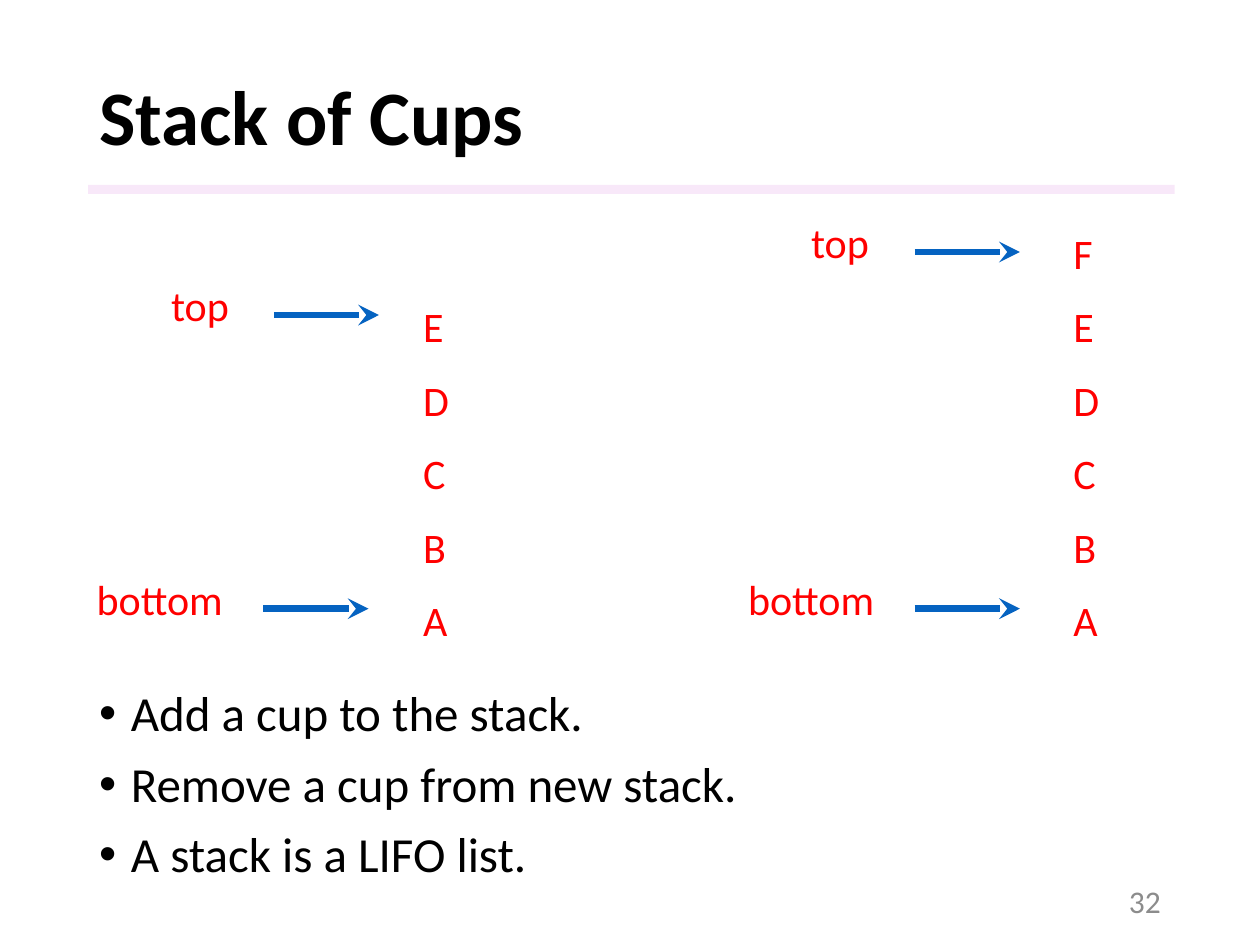
from lxml import etree
from pptx import Presentation, util as u
from pptx.dml.color import RGBColor
from pptx.enum import shapes, text
from pptx.oxml.ns import qn

COLORS = {"ink": "000000", "label": "FF0000", "arrow": "0563C1",
          "rule": "F3D2F4", "number": "8C8C8C"}
FONT = "Calibri"
CUP_STEP = 1.48
BOTTOM_CUP_TOP = 11.86
BOTTOM_LABEL_TOP = 11.43
BULLETS = ["Add a cup to the stack.", "Remove a cup from new stack.",
           "A stack is a LIFO list."]
# Left edges in cm of the cups and of each label with its arrow
STACKS = [
    {"cups": "ABCDE", "cup_left": 8.28, "pointers": [
        ("bottom", 1.7, BOTTOM_LABEL_TOP, 3.81, 5.31),
        ("top", 3.2, 5.51, 2.54, 5.52)]},
    {"cups": "ABCDEF", "cup_left": 21.39, "pointers": [
        ("bottom", 14.83, BOTTOM_LABEL_TOP, 3.81, 18.44),
        ("top", 16.1, 4.24, 2.54, 18.44)]},
]


def color(name):
    return RGBColor.from_string(COLORS[name])


def set_values(target, **values):
    for name, value in values.items():
        setattr(target, name, value)


def write(box, lines, size, ink, bold=False, bullet=False, **paragraph_format):
    frame = box.text_frame
    for index, line in enumerate(lines):
        para = frame.paragraphs[0] if index == 0 else frame.add_paragraph()
        if bullet:
            add_bullet(para)
        set_values(para, **paragraph_format)
        if index:
            para.space_before = u.Pt(10)
        span = para.add_run()
        span.text = line
        set_values(span.font, name=FONT, size=u.Pt(size), bold=bold)
        span.font.color.rgb = color(ink)


def add_bullet(para):
    """Give the paragraph a round bullet with a hanging indent."""
    properties = para._p.get_or_add_pPr()
    indent = u.Cm(0.64)
    properties.set("marL", str(indent))
    properties.set("indent", str(-indent))
    etree.SubElement(properties, qn("a:buFont"), typeface="Arial")
    etree.SubElement(properties, qn("a:buChar"), char="•")


def add_text_box(parent, left, top, width, height, **frame_format):
    box = parent.add_textbox(u.Cm(left), u.Cm(top), u.Cm(width), u.Cm(height))
    set_values(box.text_frame, word_wrap=True, **frame_format)
    return box


def add_label(parent, label, left, top, width):
    box = add_text_box(parent, left, top, width, 1.3,
                       auto_size=text.MSO_AUTO_SIZE.SHAPE_TO_FIT_TEXT)
    write(box, [label], 24, "label")


def add_arrow(parent, left, y, length=2.12):
    arrow = parent.add_connector(shapes.MSO_CONNECTOR.STRAIGHT, u.Cm(left),
                                 u.Cm(y), u.Cm(left + length), u.Cm(y))
    arrow.line.width = u.Pt(4)
    arrow.line.color.rgb = color("arrow")
    etree.SubElement(arrow.line._get_or_add_ln(), qn("a:tailEnd"), type="stealth")
    etree.SubElement(arrow._element.spPr, qn("a:effectLst"))


def add_stack(slide, cups, cup_left, pointers):
    """Group the cups, bottom one first, with the labels pointing at them."""
    group = slide.shapes.add_group_shape().shapes
    for label, left, top, width, arrow_left in pointers:
        add_label(group, label, left, top, width)
        add_arrow(group, arrow_left, top + 0.84)
    for level, cup in enumerate(cups):
        add_label(group, cup, cup_left, BOTTOM_CUP_TOP - level * CUP_STEP, 1.48)


def add_rule(slide):
    rule = slide.shapes.add_shape(shapes.MSO_SHAPE.RECTANGLE, u.Cm(1.78),
                                  u.Cm(3.73), u.Cm(21.9), u.Cm(0.18))
    rule.shadow.inherit = False
    rule.fill.solid()
    rule.fill.fore_color.rgb = color("rule")
    rule.line.fill.background()
    tint = rule._element.spPr.find(".//" + qn("a:srgbClr"))
    etree.SubElement(tint, qn("a:alpha"), val="50000")


def format_title(slide):
    title = slide.shapes.title
    set_values(title, left=u.Cm(1.75), top=u.Cm(1.02),
               width=u.Cm(21.9), height=u.Cm(2.82))
    set_values(title.text_frame, auto_size=text.MSO_AUTO_SIZE.NONE,
               vertical_anchor=text.MSO_ANCHOR.MIDDLE)
    write(title, ["Stack of Cups"], 44, "ink", bold=True,
          alignment=text.PP_ALIGN.LEFT, line_spacing=0.9)


def main():
    deck = Presentation()
    set_values(deck, slide_width=u.Cm(25.4), slide_height=u.Cm(19.05))
    slide = deck.slides.add_slide(deck.slide_layouts[5])
    add_rule(slide)
    format_title(slide)
    body = add_text_box(slide.shapes, 1.75, 13.77, 21.9, 4.22)
    write(body, BULLETS, 28, "ink", bullet=True, line_spacing=0.9)
    number = add_text_box(slide.shapes, 17.93, 17.65, 5.72, 1.02,
                          vertical_anchor=text.MSO_ANCHOR.MIDDLE)
    write(number, ["32"], 18, "number", alignment=text.PP_ALIGN.RIGHT)
    for stack in STACKS:
        add_stack(slide, **stack)
    deck.save("out.pptx")


if __name__ == "__main__":
    main()
